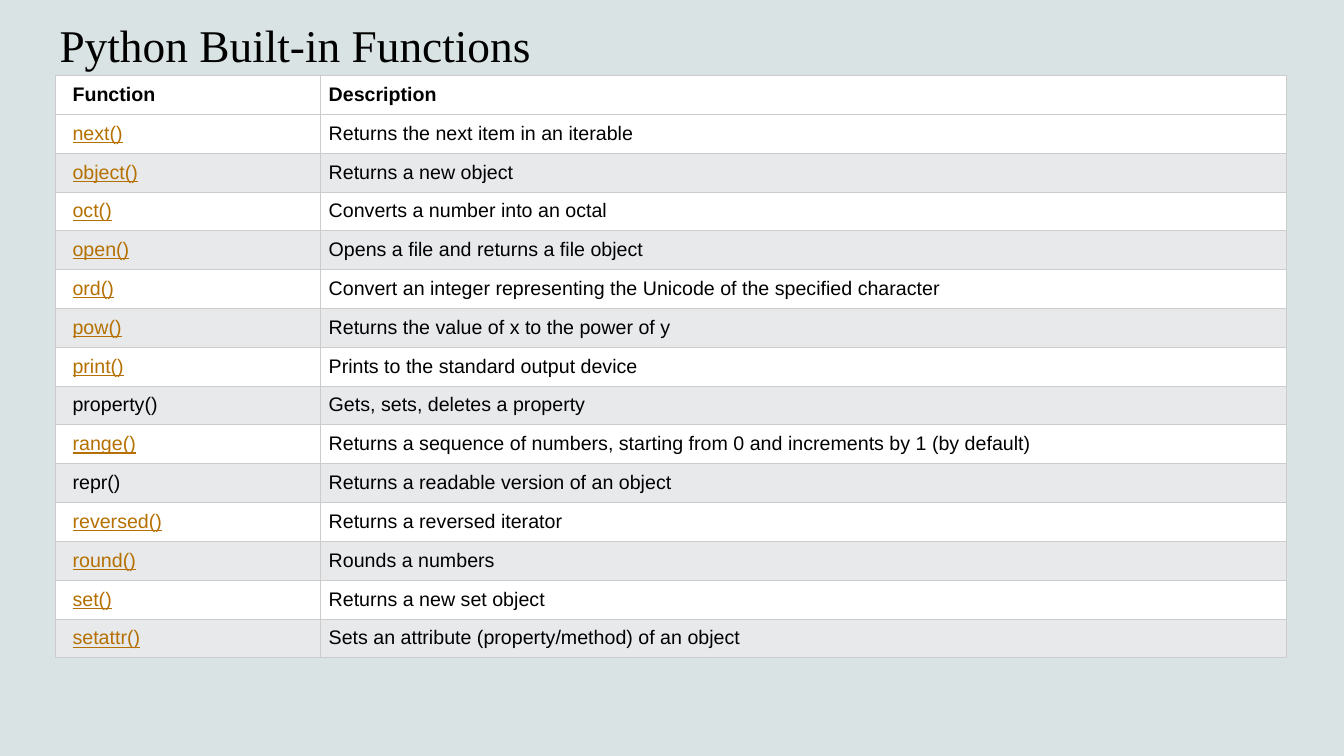
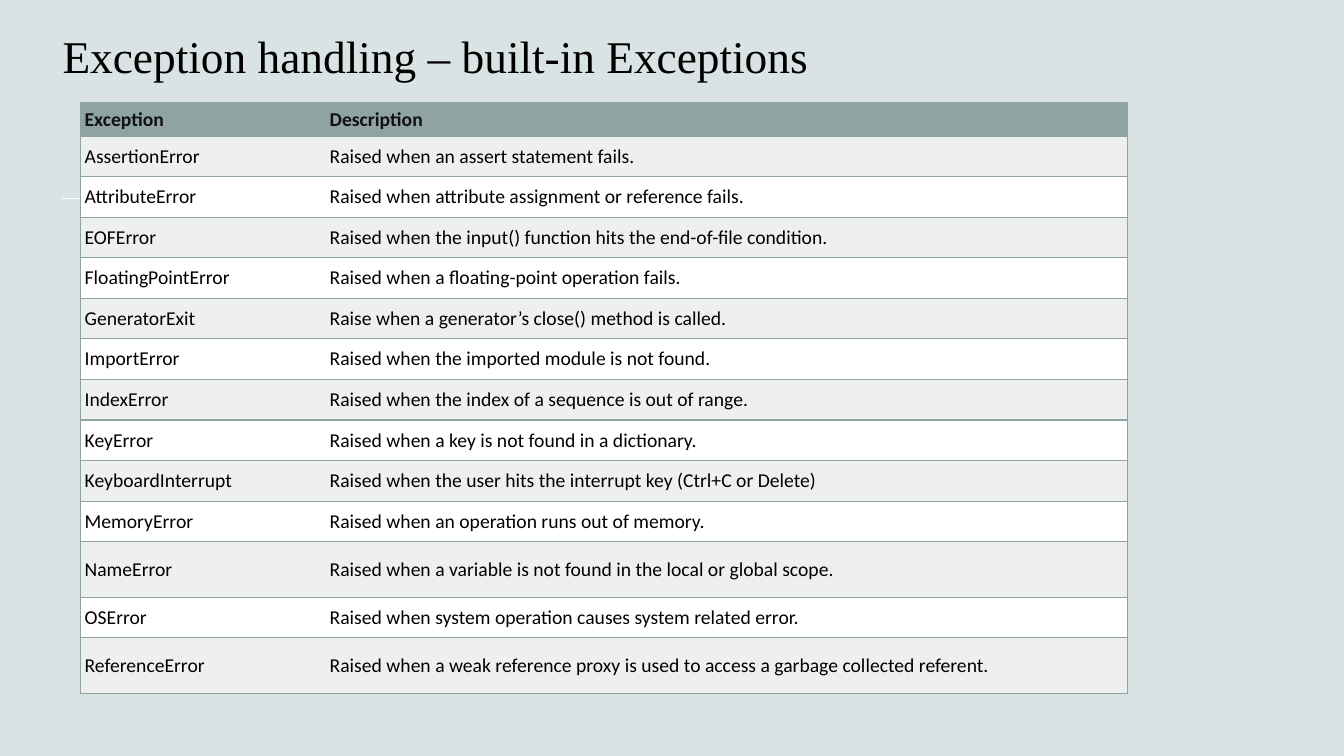
from dataclasses import dataclass

from lxml.etree import SubElement
from pptx import Presentation
from pptx.dml.color import RGBColor
from pptx.enum.shapes import MSO_CONNECTOR
from pptx.enum.text import MSO_ANCHOR, MSO_AUTO_SIZE, PP_ALIGN
from pptx.oxml.ns import qn
from pptx.presentation import Presentation as Deck
from pptx.slide import Slide, SlideLayout
from pptx.table import _Cell as Cell
from pptx.util import Inches, Pt


@dataclass(frozen=True)
class Theme:
    background: str = "DAE3E3"
    white: str = "FFFFFF"
    black: str = "000000"
    link: str = "B57001"
    grey_band: str = "E7E9EB"
    grey_line: str = "CCCCCC"
    sage: str = "8FA3A3"
    sage_band: str = "EEF0F0"
    sage_header_text: str = "111111"
    title_font: str = "Times New Roman"
    title_size: float = 32.4
    table_size: float = 14


THEME = Theme()


@dataclass(frozen=True)
class Frame:
    left: float
    top: float
    width: float
    height: float


@dataclass(frozen=True)
class Entry:
    name: str
    description: str
    linked: bool = False
    height: float | None = None


@dataclass(frozen=True)
class TableStyle:
    font: str
    header_fill: str
    header_color: str
    bands: tuple[str, str]
    line_color: str
    line_width: float
    borders: tuple[str, str]
    anchor: MSO_ANCHOR
    first_inset: float
    inset: float


@dataclass(frozen=True)
class Topic:
    title: str
    title_frame: Frame
    table_frame: Frame
    columns: tuple[float, float]
    style: TableStyle
    entries: tuple[Entry, ...]


GRID_STYLE = TableStyle(
    "Arial", THEME.white, THEME.black, (THEME.white, THEME.grey_band),
    THEME.grey_line, 0.75, ("LRTB", "LRTB"), MSO_ANCHOR.TOP, 0.17, 0.08,
)
SAGE_STYLE = TableStyle(
    "Calibri", THEME.sage, THEME.sage_header_text, (THEME.sage_band, THEME.white),
    THEME.sage, 1, ("LTB", "RTB"), MSO_ANCHOR.MIDDLE, 0.04, 0.04,
)

FUNCTIONS = Topic(
    "Python Built-in Functions",
    Frame(0.59, 0.18, 12.14, 0.58),
    Frame(0.55, 0.75, 12.21, 5.78),
    (2.63, 9.58),
    GRID_STYLE,
    (
        Entry("Function", "Description"),
        Entry("next()", "Returns the next item in an iterable", True),
        Entry("object()", "Returns a new object", True),
        Entry("oct()", "Converts a number into an octal", True),
        Entry("open()", "Opens a file and returns a file object", True),
        Entry("ord()", "Convert an integer representing the Unicode of the specified character", True),
        Entry("pow()", "Returns the value of x to the power of y", True),
        Entry("print()", "Prints to the standard output device", True),
        Entry("property()", "Gets, sets, deletes a property"),
        Entry("range()", "Returns a sequence of numbers, starting from 0 and increments by 1 (by default)", True),
        Entry("repr()", "Returns a readable version of an object"),
        Entry("reversed()", "Returns a reversed iterator", True),
        Entry("round()", "Rounds a numbers", True),
        Entry("set()", "Returns a new set object", True),
        Entry("setattr()", "Sets an attribute (property/method) of an object", True),
    ),
)

EXCEPTIONS = Topic(
    "Exception handling – built-in Exceptions",
    Frame(0.62, 0.2, 12.14, 0.67),
    Frame(0.8, 1.02, 10.38, 5.86),
    (2.43, 7.95),
    SAGE_STYLE,
    (
        Entry("Exception", "Description", height=0.33),
        Entry("AssertionError", "Raised when an assert statement fails."),
        Entry("AttributeError", "Raised when attribute assignment or reference fails."),
        Entry("EOFError", "Raised when the input() function hits the end-of-file condition."),
        Entry("FloatingPointError", "Raised when a floating-point operation fails."),
        Entry("GeneratorExit", "Raise when a generator’s close() method is called."),
        Entry("ImportError", "Raised when the imported module is not found."),
        Entry("IndexError", "Raised when the index of a sequence is out of range."),
        Entry("KeyError", "Raised when a key is not found in a dictionary."),
        Entry("KeyboardInterrupt", "Raised when the user hits the interrupt key (Ctrl+C or Delete)"),
        Entry("MemoryError", "Raised when an operation runs out of memory."),
        Entry("NameError", "Raised when a variable is not found in the local or global scope.", height=0.55),
        Entry("OSError", "Raised when system operation causes system related error."),
        Entry(
            "ReferenceError",
            "Raised when a weak reference proxy is used to access a garbage collected referent.",
            height=0.55,
        ),
    ),
)


def color(value: str) -> RGBColor:
    return RGBColor.from_string(value)


def add_layout_accent(layout: SlideLayout, page: Slide) -> None:
    accent = page.shapes.add_connector(
        MSO_CONNECTOR.STRAIGHT, Inches(0.62), Inches(1.97), Inches(1.21), Inches(1.97)
    )
    accent.line.color.rgb = color(THEME.white)
    accent.line.width = Pt(1)
    element = accent._element
    SubElement(element.spPr, qn("a:effectLst"))
    element.nvCxnSpPr.cNvPr.id = 20
    layout.shapes._spTree.append(element)


def format_title(page: Slide, text: str, frame: Frame) -> None:
    title = page.shapes.title
    title.left, title.top = Inches(frame.left), Inches(frame.top)
    title.width, title.height = Inches(frame.width), Inches(frame.height)
    box = title.text_frame
    box.word_wrap = True
    box.auto_size = MSO_AUTO_SIZE.NONE
    box.vertical_anchor = MSO_ANCHOR.BOTTOM
    box.margin_left, box.margin_right = Inches(0), Inches(0.1)
    box.margin_top = box.margin_bottom = Inches(0.05)
    para = box.paragraphs[0]
    para.alignment = PP_ALIGN.LEFT
    span = para.add_run()
    span.text = text
    span.font.name = THEME.title_font
    span.font.size = Pt(THEME.title_size)
    span.font.color.rgb = color(THEME.black)


def set_borders(cell: Cell, style: TableStyle, sides: str) -> None:
    properties = cell._tc.get_or_add_tcPr()
    for side in "LRTB":
        line = SubElement(properties, qn(f"a:ln{side}"), w=str(Pt(style.line_width)))
        if side in sides:
            fill = SubElement(line, qn("a:solidFill"))
            SubElement(fill, qn("a:srgbClr"), val=style.line_color)
        else:
            SubElement(line, qn("a:noFill"))


def fill_cell(cell: Cell, entry: Entry, row: int, column: int, style: TableStyle) -> None:
    is_header = row == 0
    is_link = entry.linked and column == 0
    set_borders(cell, style, style.borders[column])
    cell.fill.solid()
    cell.fill.fore_color.rgb = color(style.header_fill if is_header else style.bands[(row - 1) % 2])
    cell.vertical_anchor = style.anchor
    cell.margin_left = Inches(style.first_inset if column == 0 else style.inset)
    cell.margin_right = cell.margin_top = cell.margin_bottom = Inches(style.inset)
    span = cell.text_frame.paragraphs[0].add_run()
    span.text = (entry.name, entry.description)[column]
    span.font.name = style.font
    span.font.size = Pt(THEME.table_size)
    span.font.bold = is_header
    span.font.underline = is_link
    text_color = style.header_color if is_header else THEME.black
    span.font.color.rgb = color(THEME.link if is_link else text_color)


def add_reference_table(page: Slide, topic: Topic) -> None:
    frame, entries = topic.table_frame, topic.entries
    table = page.shapes.add_table(
        len(entries), len(topic.columns),
        Inches(frame.left), Inches(frame.top), Inches(frame.width), Inches(frame.height),
    ).table
    table.horz_banding = False
    for column, width in zip(table.columns, topic.columns):
        column.width = Inches(width)
    fixed = [entry.height for entry in entries if entry.height is not None]
    shared_height = (frame.height - sum(fixed)) / (len(entries) - len(fixed))
    for row, entry in enumerate(entries):
        table.rows[row].height = Inches(entry.height or shared_height)
        for column in range(len(topic.columns)):
            fill_cell(table.cell(row, column), entry, row, column, topic.style)


def add_topic(deck: Deck, layout: SlideLayout, topic: Topic) -> Slide:
    page = deck.slides.add_slide(layout)
    format_title(page, topic.title, topic.title_frame)
    add_reference_table(page, topic)
    return page


def main() -> None:
    deck = Presentation()
    deck.slide_width, deck.slide_height = Inches(13.33), Inches(7.5)
    background = deck.slide_master.background.fill
    background.solid()
    background.fore_color.rgb = color(THEME.background)
    layout = deck.slide_layouts.get_by_name("Title Only")
    pages = [add_topic(deck, layout, topic) for topic in (FUNCTIONS, EXCEPTIONS)]
    add_layout_accent(layout, pages[0])
    deck.save("out.pptx")


if __name__ == "__main__":
    main()
